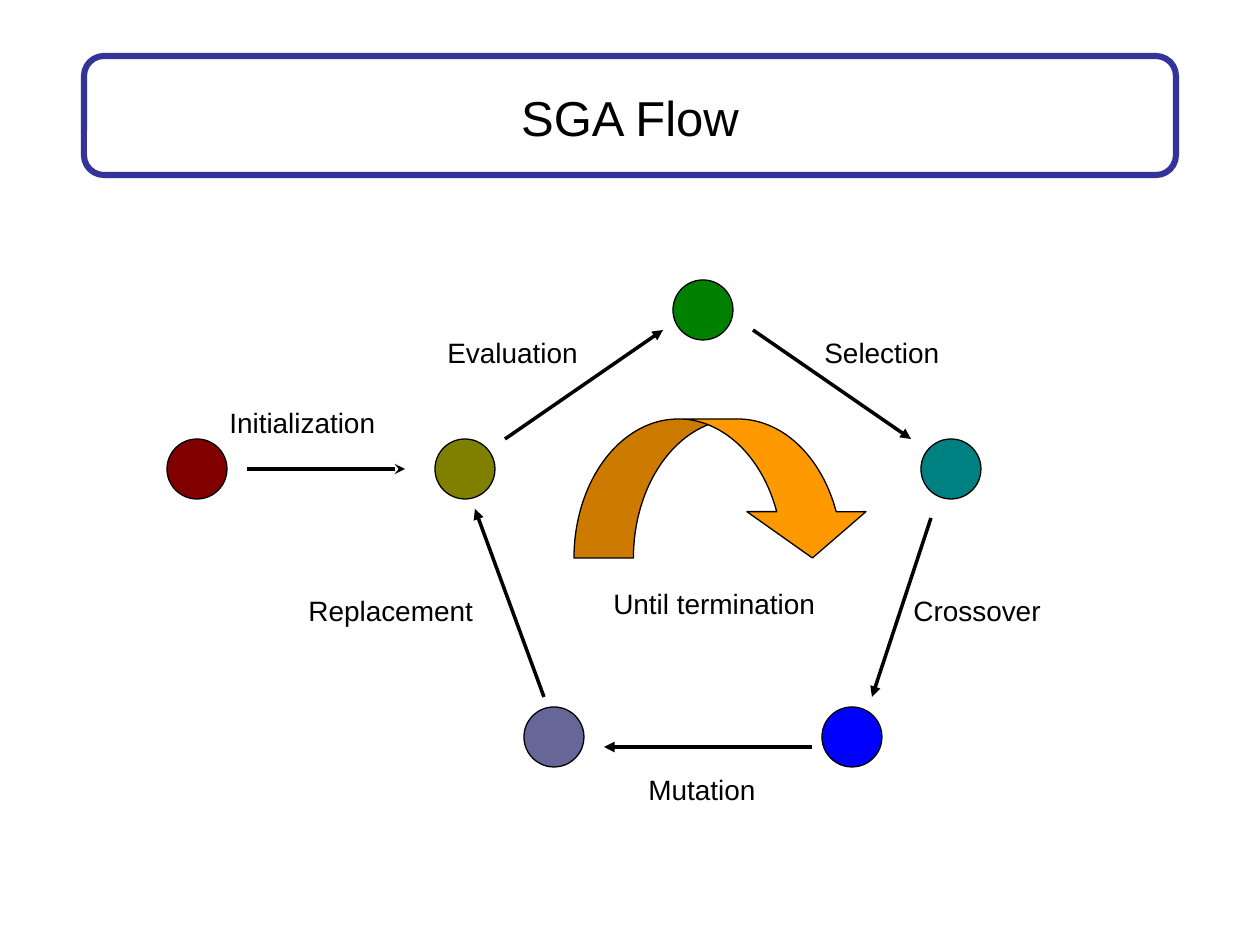
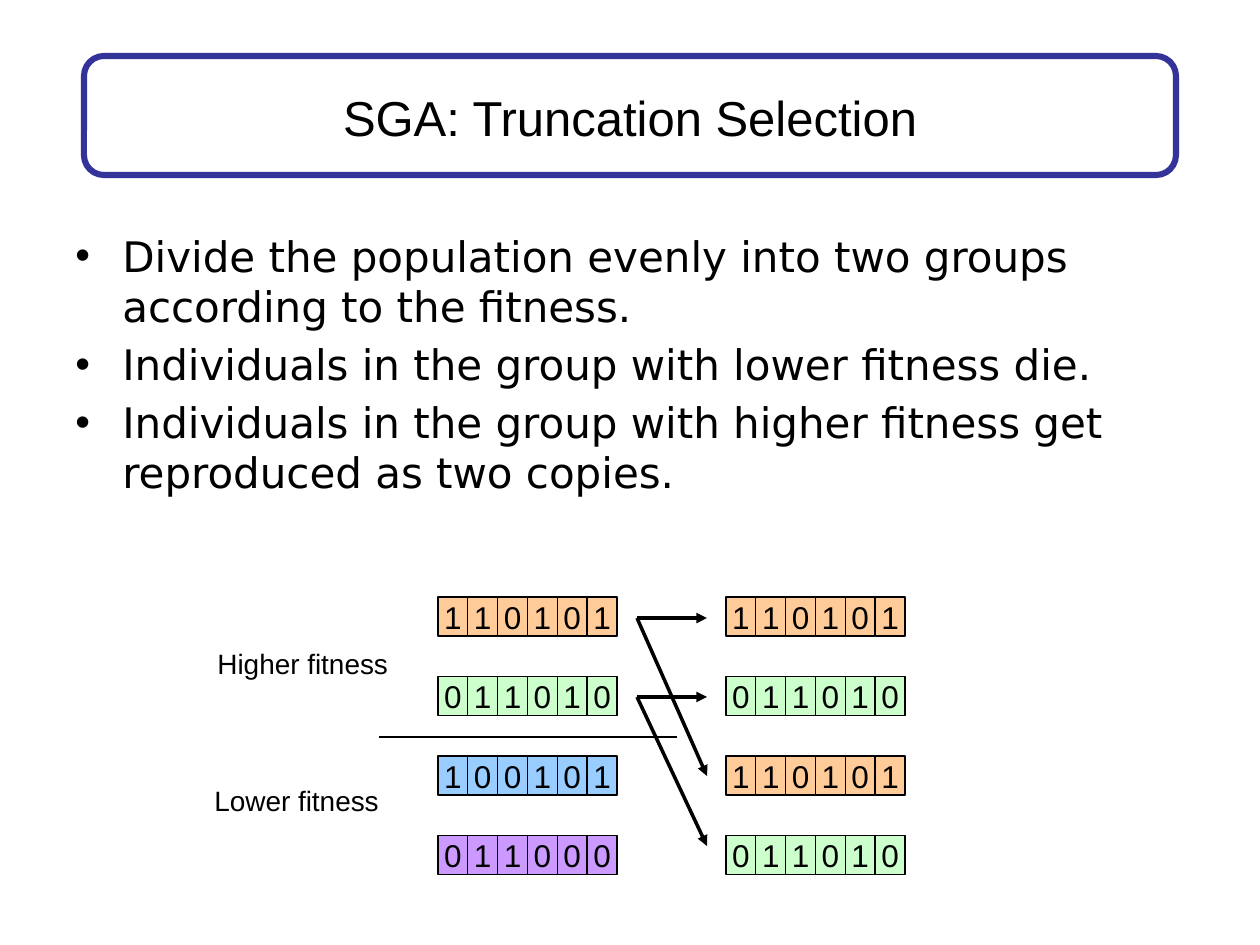
import lxml.etree
import pptx
import pptx.util
import pptx.dml.color
import pptx.enum.shapes
import pptx.enum.text
import pptx.oxml.ns

Kind = pptx.enum.shapes.MSO_SHAPE
Align = pptx.enum.text.PP_ALIGN
Anchor = pptx.enum.text.MSO_ANCHOR
Pt = pptx.util.Pt
SCALE = 914400 / 126

# Shared look
HUES = {
    "ink": "000000", "frame": "333399",
    "green": "008000", "teal": "008080", "blue": "0000FF", "slate": "666699",
    "olive": "808000", "maroon": "800000", "orange": "FF9900",
    "peach": "FFCC99", "mint": "CCFFCC", "sky": "99CCFF", "lilac": "CC99FF",
}
FONT, BODY = "Arial", "DejaVu Sans"

# Slide 1: centres of the states, steps between them, labels
NODE = 60
STATES = [
    (703, 310, "green"), (951, 469, "teal"), (852, 737, "blue"),
    (554, 737, "slate"), (465, 469, "olive"), (197, 469, "maroon"),
]
STEPS = [
    (505, 439, 663, 330, "triangle"), (753, 330, 911, 439, "triangle"),
    (931, 518, 872, 697, "triangle"), (812, 747, 604, 747, "triangle"),
    (544, 697, 475, 509, "triangle"), (247, 469, 405, 469, "stealth"),
]
NAMES = [
    ("Initialization", 217, 399, 190), ("Evaluation", 435, 329, 173),
    ("Selection", 812, 329, 155), ("Crossover", 901, 587, 169),
    ("Mutation", 636, 766, 146), ("Replacement", 296, 587, 210),
    ("Until termination", 601, 580, 253),
]

# Slide 2: bullets, genomes before and after, labels
POINTS = [
    "Divide the population evenly into two groups according to the fitness.",
    "Individuals in the group with lower fitness die.",
    "Individuals in the group with higher fitness get reproduced as two copies.",
]
BEST = [("110101", "peach"), ("011010", "mint")]
POOLS = [
    (438, BEST + [("100101", "sky"), ("011000", "lilac")]),
    (726, BEST + BEST),
]
TOP, PITCH, WIDE, HIGH = 597, 79.5, 179, 39
COPIES = [(618, 618), (618, 776), (697, 697), (697, 846)]
RANKS = [("Higher fitness", 205, 640, 198), ("Lower fitness", 202, 777, 192)]


def px(num):
    return pptx.util.Emu(round(num * SCALE))


def hue(name):
    return pptx.dml.color.RGBColor.from_string(HUES[name])


def add(home, tag, **attrs):
    lxml.etree.SubElement(home, pptx.oxml.ns.qn(tag), attrs)


def style(par, size, font=FONT):
    for run in par.runs:
        run.font.size = Pt(size)
        run.font.name = font
        run.font.color.rgb = hue("ink")


def shape(home, kind, box, fill=None, line="ink", width=0.75):
    item = home.add_shape(kind, *map(px, box))
    item.shadow.inherit = False
    if fill:
        item.fill.solid()
        item.fill.fore_color.rgb = hue(fill)
    else:
        item.fill.background()
    item.line.color.rgb = hue(line)
    item.line.width = Pt(width)
    return item


def link(slide, ends, width=2, head=None):
    item = slide.shapes.add_connector(
        pptx.enum.shapes.MSO_CONNECTOR.STRAIGHT, *map(px, ends))
    item.line.color.rgb = hue("ink")
    item.line.width = Pt(width)
    props = item._element.spPr
    if head:
        add(props.find(pptx.oxml.ns.qn("a:ln")), "a:tailEnd", type=head)
    add(props, "a:effectLst")


def label(slide, text, left, top, width):
    frame = slide.shapes.add_textbox(*map(px, (left, top, width, 50))).text_frame
    frame.word_wrap = False
    frame.text = text
    style(frame.paragraphs[0], 16)


def start(deck, title):
    slide = deck.slides.add_slide(deck.slide_layouts[6])
    band = shape(slide.shapes, Kind.ROUNDED_RECTANGLE, (84, 56, 1092, 119),
                 line="frame", width=3.5)
    band.adjustments[0] = 0.167
    frame = slide.shapes.add_textbox(*map(px, (63, 38, 1134, 158))).text_frame
    frame.word_wrap = True
    frame.vertical_anchor = Anchor.MIDDLE
    frame.text = title
    frame.paragraphs[0].alignment = Align.CENTER
    style(frame.paragraphs[0], 28)
    return slide


def bullets(slide, points):
    frame = slide.shapes.add_textbox(*map(px, (63, 224, 1134, 620))).text_frame
    frame.word_wrap = True
    frame.text = "\n".join(points)
    for par in frame.paragraphs:
        par.space_before = Pt(4.3)
        props = par._p.get_or_add_pPr()
        props.set("marL", str(px(47)))
        props.set("indent", str(-px(47)))
        add(props, "a:buFont", typeface=FONT)
        add(props, "a:buChar", char="\u2022")
        style(par, 24, BODY)


def genome(slide, bits, fill, left, top):
    group = slide.shapes.add_group_shape()
    cell = WIDE / len(bits)
    for col, bit in enumerate(bits):
        box = (left + col * cell, top, cell, HIGH)
        frame = shape(group.shapes, Kind.RECTANGLE, box, fill).text_frame
        frame.word_wrap = False
        frame.vertical_anchor = Anchor.MIDDLE
        frame.text = bit
        frame.paragraphs[0].alignment = Align.CENTER
        style(frame.paragraphs[0], 18)


deck = pptx.Presentation()
deck.slide_width, deck.slide_height = px(1260), px(945)

# Slide 1: the cycle
flow = start(deck, "SGA Flow")
for x, y, fill in STATES:
    shape(flow.shapes, Kind.OVAL, (x - NODE / 2, y - NODE / 2, NODE, NODE), fill)
for *ends, head in STEPS:
    link(flow, ends, head=head)
loop = shape(flow.shapes, Kind.CURVED_DOWN_ARROW, (574, 419, 298, 139), "orange")
for spot, part in enumerate((0.428, 0.857, 0.333)):
    loop.adjustments[spot] = part
for name in NAMES:
    label(flow, *name)

# Slide 2: truncation
trunc = start(deck, "SGA: Truncation Selection")
bullets(trunc, POINTS)
link(trunc, (379, 737, 677, 737), width=0.75)
for left, pool in POOLS:
    for row, (bits, fill) in enumerate(pool):
        genome(trunc, bits, fill, left, TOP + row * PITCH)
for here, there in COPIES:
    link(trunc, (637, here, 707, there), head="triangle")
for rank in RANKS:
    label(trunc, *rank)

deck.save("out.pptx")
